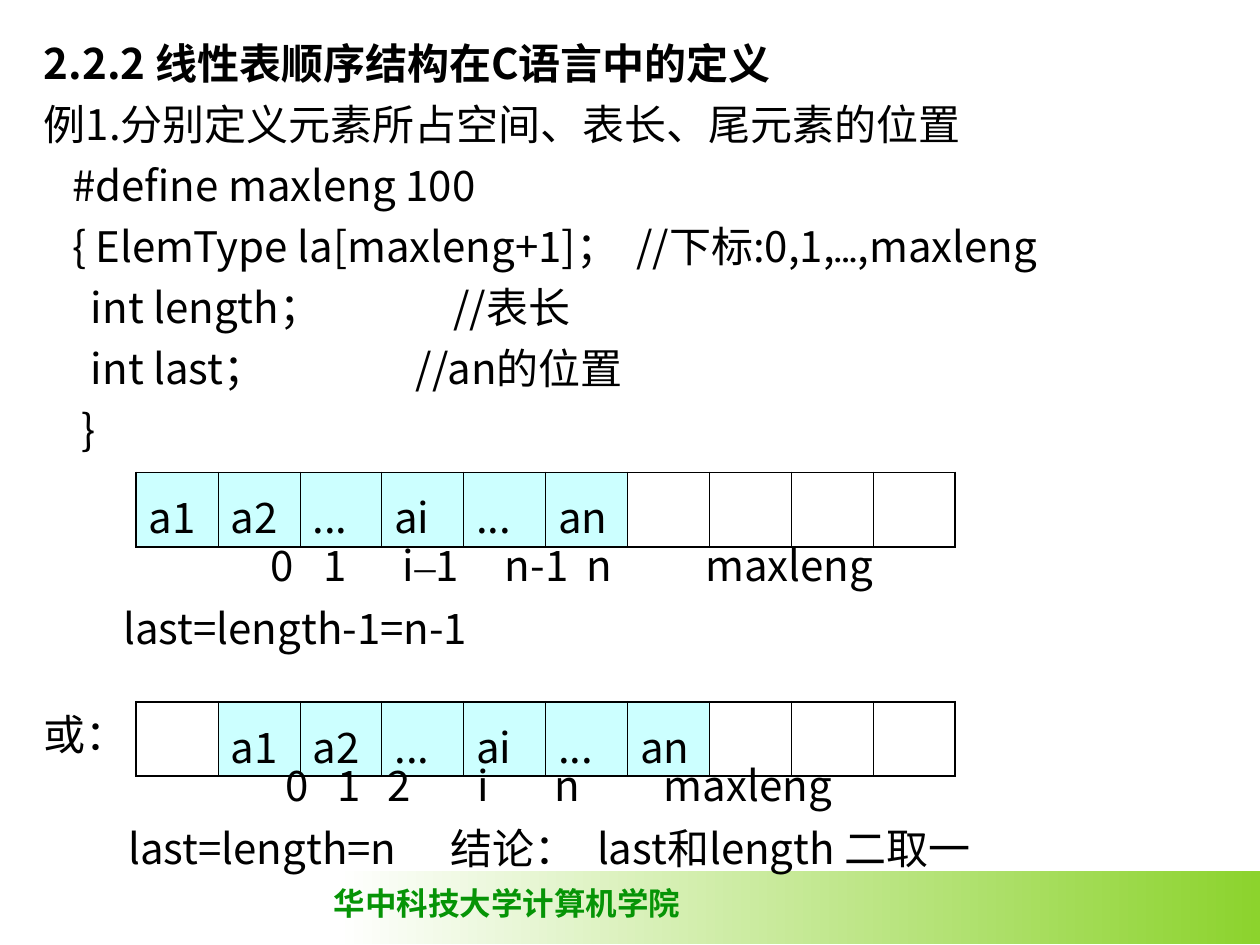
import pptx
import pptx.dml.color
import pptx.enum.shapes
import pptx.oxml
import pptx.oxml.ns
import pptx.util

Inches, Pt = pptx.util.Inches, pptx.util.Pt

SANS, SERIF, ELLIPSIS_FONT = "Noto Sans CJK SC", "Times New Roman", "Karla"
BLACK, WHITE, GREEN, LIME, CYAN = "000000", "FFFFFF", "069406", "8CD32D", "CCFFFF"
INSET = 0.1
LINE_PITCH = 0.484

# Each line: its runs, then the slide position of the comment after a tab
LESSON = [
    ([("2.2.2 线性表顺序结构在C语言中的定义", {"bold": True})], []),
    ([("例1.分别定义元素所占空间、表长、尾元素的位置", {})], []),
    ([("   #define maxleng 100", {})], []),
    ([("   { ElemType la[maxleng+1]；\t//下标:0,1,", {}),
      ("…", {"font": ELLIPSIS_FONT}), (",maxleng", {})], [5.05]),
    ([("     int length；\t//表长", {})], [3.6]),
    ([("     int last；\t//an的位置", {})], [3.3]),
    ([("    }", {})], []),
]
LESSON_LEFT, LESSON_TOP = 0.25, 0.25
OR_LINE = 11

CELL_WIDTH, ROW_HEIGHT, TABLE_LEFT = 0.65, 0.59, 1.08
ELEMENTS = ["a1", "a2", "...", "ai", "...", "an"]
CAPACITY = 10
# Top of the table, number of unused cells in front
LISTS = [(3.75, 0), (5.57, 1)]

# Top of the box, slide positions of the labels, runs
INDEXES = [
    (4.23, [2.15, 2.57, 3.2, 4.01, 4.66, 5.6],
     [("0\t1\ti", {}), ("–", {"font": SERIF}), ("1\tn-1\tn\tmaxleng", {})]),
    (5.98, [2.27, 2.68, 3.08, 3.79, 4.4, 5.27],
     [("0\t1\t2\ti\tn\tmaxleng", {})]),
]
# Left, top, width, slide positions of tabs, text
CONCLUSIONS = [
    (0.88, 4.73, 2.95, [], "last=length-1=n-1"),
    (0.92, 6.48, 8.83, [3.58, 4.74], "last=length=n\t结论：\tlast和length 二取一"),
]


def rgb(hex_colour):
    return pptx.dml.color.RGBColor.from_string(hex_colour)


def add_tabs(paragraph, positions):
    """Add left tab stops, in inches from the text edge."""
    if positions:
        tab_list = pptx.oxml.ns.qn("a:tabLst")
        stops = paragraph._p.get_or_add_pPr().makeelement(tab_list, {})
        for position in positions:
            stop = stops.makeelement(pptx.oxml.ns.qn("a:tab"),
                                     {"pos": str(Inches(position)), "algn": "l"})
            stops.append(stop)
        paragraph._p.get_or_add_pPr().append(stops)


def add_run(paragraph, text, font=SANS, size=24, colour=BLACK, bold=False):
    run = paragraph.add_run()
    run.text = text
    run.font.name, run.font.size, run.font.bold = font, Pt(size), bold
    run.font.color.rgb = rgb(colour)
    east_asian = run._r.get_or_add_rPr().makeelement(
        pptx.oxml.ns.qn("a:ea"), {"typeface": SANS})
    run.font._element.append(east_asian)


def add_text(slide, left, top, width, height, lines, wrap=True):
    frame = slide.shapes.add_textbox(
        Inches(left), Inches(top), Inches(width), Inches(height)).text_frame
    frame.word_wrap = wrap
    for number, (runs, tabs) in enumerate(lines):
        paragraph = frame.add_paragraph() if number else frame.paragraphs[0]
        add_tabs(paragraph, [tab - left - INSET for tab in tabs])
        if number:
            paragraph.space_before = Pt(6)
        for text, style in runs:
            add_run(paragraph, text, **style)


def set_borders(cell, widths):
    """Draw the cell's edges; widths maps L, R, T, B to points."""
    properties = cell._tc.get_or_add_tcPr()
    for index, (side, width) in enumerate(widths.items()):
        properties.insert(index, pptx.oxml.parse_xml(
            f'<a:ln{side} {pptx.oxml.ns.nsdecls("a")} w="{Pt(width)}">'
            f'<a:solidFill><a:srgbClr val="{BLACK}"/></a:solidFill></a:ln{side}>'))


def add_list_table(slide, top, offset):
    table = slide.shapes.add_table(
        1, CAPACITY, Inches(TABLE_LEFT), Inches(top),
        Inches(CELL_WIDTH * CAPACITY), Inches(ROW_HEIGHT)).table
    table.first_row = table.horz_banding = False
    outer, inner = 1.08, 0.45
    for column in range(CAPACITY):
        table.columns[column].width = Inches(CELL_WIDTH)
        cell = table.cell(0, column)
        cell.margin_left = cell.margin_right = cell.margin_top = Inches(0.1)
        if offset <= column < offset + len(ELEMENTS):
            cell.fill.solid()
            cell.fill.fore_color.rgb = rgb(CYAN)
            add_run(cell.text_frame.paragraphs[0], ELEMENTS[column - offset])
        else:
            cell.fill.background()
        set_borders(cell, {
            "L": inner if column else outer,
            "R": inner if column < CAPACITY - 1 else outer,
            "T": outer, "B": outer})


def add_footer(slide):
    band = slide.shapes.add_shape(
        pptx.enum.shapes.MSO_SHAPE.RECTANGLE,
        Inches(2.67), Inches(6.91), Inches(7.33), Inches(0.58))
    band.shadow.inherit = False
    band.line.fill.background()
    band.fill.gradient()
    band.fill.gradient_angle = 0
    for stop, position, colour in zip(band.fill.gradient_stops, (0, 1), (WHITE, LIME)):
        stop.position, stop.color.rgb = position, rgb(colour)
    style = {"font": SERIF, "size": 18, "colour": GREEN, "bold": True}
    add_text(slide, 2.55, 6.97, 2.95, 0.4,
             [([("华中科技大学计算机学院", style)], [])], wrap=False)


def main():
    deck = pptx.Presentation()
    deck.slide_width, deck.slide_height = Inches(10), Inches(7.5)
    slide = deck.slides.add_slide(deck.slide_layouts[6])
    add_footer(slide)
    add_text(slide, LESSON_LEFT, LESSON_TOP, 9.25, 3.5, LESSON)
    add_text(slide, LESSON_LEFT, LESSON_TOP + OR_LINE * LINE_PITCH, 0.85, 0.5,
             [([("或：", {})], [])], wrap=False)
    for top, offset in LISTS:
        add_list_table(slide, top, offset)
    for top, positions, runs in INDEXES:
        add_text(slide, positions[0] - INSET, top, 5.4, 0.5, [(runs, positions[1:])])
    for left, top, width, tabs, text in CONCLUSIONS:
        add_text(slide, left, top, width, 0.5, [([(text, {})], tabs)])
    deck.save("out.pptx")


if __name__ == "__main__":
    main()
